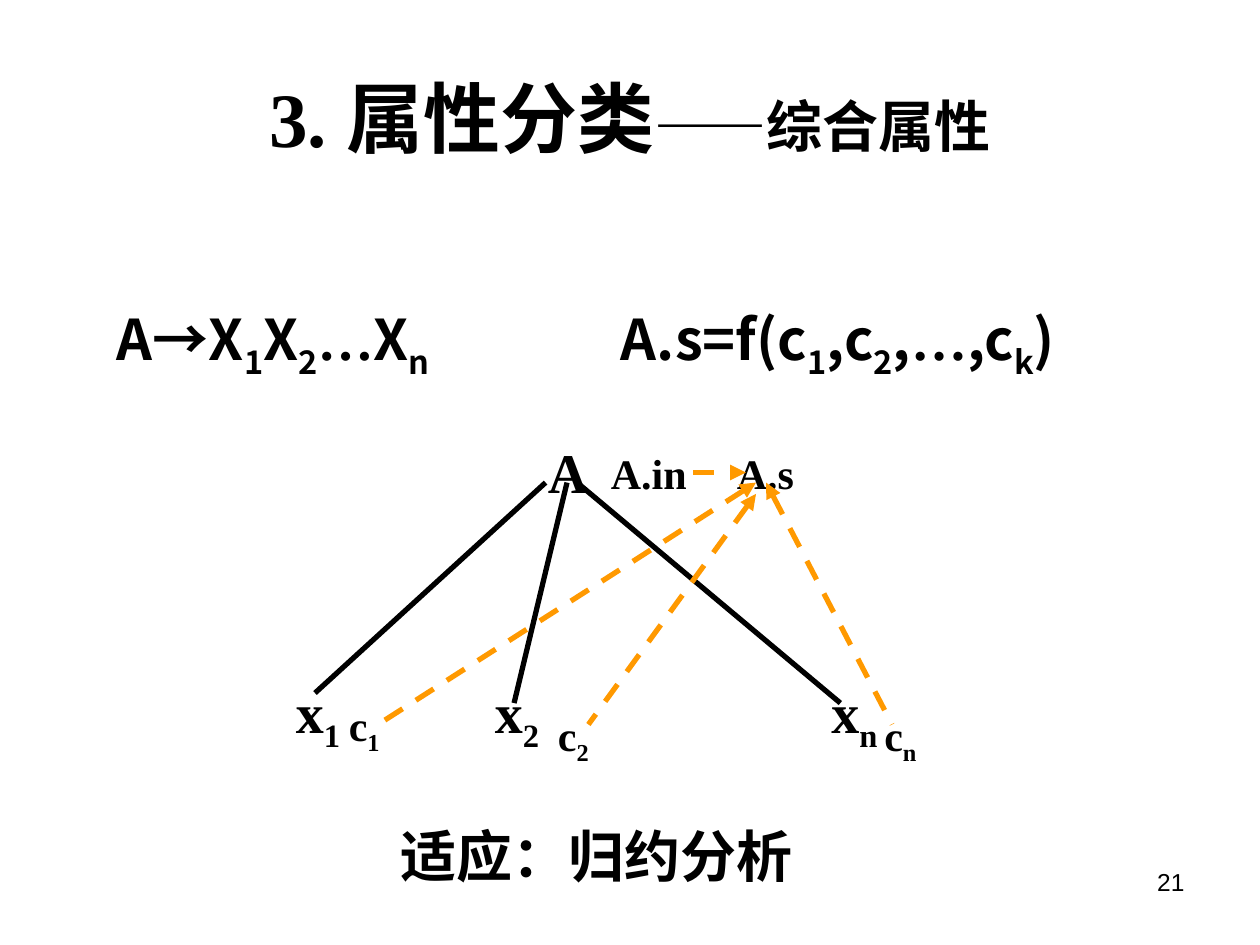
"""Build the slide on synthesized attributes with its parse tree."""
from dataclasses import dataclass

from lxml.etree import SubElement
from pptx import Presentation
from pptx.dml.color import RGBColor
from pptx.enum.dml import MSO_LINE
from pptx.enum.shapes import MSO_CONNECTOR
from pptx.enum.text import MSO_ANCHOR, MSO_AUTO_SIZE, PP_ALIGN
from pptx.oxml.ns import qn
from pptx.util import Inches, Pt


@dataclass(frozen=True)
class Theme:
    ink: RGBColor = RGBColor(0, 0, 0)
    flow: RGBColor = RGBColor(0xFF, 0x99, 0x00)
    serif: str = "Times New Roman"
    formula: str = "Noto Sans CJK SC"
    caption: str = "Noto Sans CJK JP"
    number: str = "Arial"
    title_size: int = 44
    large: int = 32
    small: int = 24
    number_size: int = 14
    line_width: int = 3
    subscript: str = "-25000"


T = Theme()

TITLE = [("3. 属性分类", T.title_size), ("——综合属性", T.large)]
FORMULA = [
    ("A→X", ""), ("1", "sub"), ("X", ""), ("2", "sub"), ("…", "dots"), ("X", ""), ("n", "sub"),
    ("\tA.s=f(c", ""), ("1", "sub"), (",c", ""), ("2", "sub"), (",", ""), ("…", "dots"),
    (",c", ""), ("k", "sub"), (")", ""),
]
FORMULA_TAB = 4
CAPTION = "适应：归约分析"
PAGE = "21"

NODES = [
    ("A", "", 4.25, 3.42, 0.58),
    ("x", "1", 2.25, 5.33, 0.67),
    ("x", "2", 3.83, 5.33, 0.67),
    ("x", "n", 6.5, 5.33, 0.67),
]
ATTRIBUTES = [
    ("A.in", "", 4.75, 3.5, 0.92),
    ("A.s", "", 5.75, 3.5, 0.83),
    ("c", "1", 2.67, 5.5, 0.67),
    ("c", "2", 4.33, 5.58, 0.67),
    ("c", "n", 6.92, 5.58, 0.67),
]
BRANCHES = [
    ((4.33, 3.83), (2.5, 5.5)),
    ((4.5, 3.83), (4.08, 5.58)),
    ((4.58, 3.83), (6.67, 5.58)),
]
FLOWS = [
    ((6, 3.83), (3, 5.75), "headEnd"),
    ((6, 3.92), (4.67, 5.75), "headEnd"),
    ((6.08, 3.83), (7.08, 5.75), "headEnd"),
    ((5.5, 3.75), (5.92, 3.75), "tailEnd"),
]


def add_text(s, box, runs, align=PP_ALIGN.LEFT, wrap=True, grow=True, tab=None):
    """Add a text box from (text, font, size, bold, subscript) runs."""
    tf = s.shapes.add_textbox(*map(Inches, box)).text_frame
    tf.word_wrap = wrap
    tf.auto_size = MSO_AUTO_SIZE.SHAPE_TO_FIT_TEXT if grow else MSO_AUTO_SIZE.NONE
    p = tf.paragraphs[0]
    if tab:
        stops = SubElement(p._p.get_or_add_pPr(), qn("a:tabLst"))
        SubElement(stops, qn("a:tab"), pos=str(Inches(tab)), algn="l")
    p.alignment = align
    for text, font, size, bold, sub in runs:
        r = p.add_run()
        r.text = text
        r.font.size = Pt(size)
        r.font.bold = bold
        r.font.color.rgb = T.ink
        r.font.name = font
        rPr = r._r.get_or_add_rPr()
        east_asian = T.formula if font == T.serif else font
        SubElement(rPr, qn("a:ea"), typeface=east_asian)
        if sub:
            rPr.set("baseline", T.subscript)
    return tf


def add_label(s, base, sub, left, top, width, size):
    """Add a tree label with an optional subscript."""
    runs = [(base, T.serif, size, True, False)]
    if sub:
        runs.append((sub, T.serif, size, True, True))
    height = size / 50 + (0.07 if sub else 0)
    add_text(s, (left, top, width, height), runs)


def add_line(s, start, end, color, arrow=None):
    """Add a solid branch or a dashed line with an arrow at the named end."""
    c = s.shapes.add_connector(MSO_CONNECTOR.STRAIGHT, *map(Inches, (*start, *end)))
    c.line.color.rgb = color
    c.line.width = Pt(T.line_width)
    if arrow:
        c.line.dash_style = MSO_LINE.DASH
        SubElement(c.line._get_or_add_ln(), qn(f"a:{arrow}"), type="triangle")
    SubElement(c._element.spPr, qn("a:effectLst"))


def main():
    """Compose and save the slide."""
    prs = Presentation()
    prs.slide_width, prs.slide_height = Inches(10), Inches(7.5)
    s = prs.slides.add_slide(prs.slide_layouts[6])

    add_text(s, (7.17, 6.83, 2.33, 0.52), [(PAGE, T.number, T.number_size, False, False)],
             align=PP_ALIGN.RIGHT, grow=False)
    title = add_text(s, (0.5, 0.3, 9, 1.25),
                     [(text, T.serif, size, True, False) for text, size in TITLE],
                     align=PP_ALIGN.CENTER, grow=False)
    title.vertical_anchor = MSO_ANCHOR.MIDDLE

    for node in NODES:
        add_label(s, *node, T.large)
    for start, end in BRANCHES:
        add_line(s, start, end, T.ink)

    add_text(s, (3.08, 6.47, 3.4, 0.64), [(CAPTION, T.caption, T.large, True, False)], wrap=False)
    add_text(s, (0.83, 2.37, 8.08, 0.71),
             [(text, T.serif if kind == "dots" else T.formula, T.large, True, kind == "sub")
              for text, kind in FORMULA], tab=FORMULA_TAB)

    for attribute in ATTRIBUTES:
        add_label(s, *attribute, T.small)
    for start, end, arrow in FLOWS:
        add_line(s, start, end, T.flow, arrow)

    prs.save("out.pptx")


if __name__ == "__main__":
    main()
